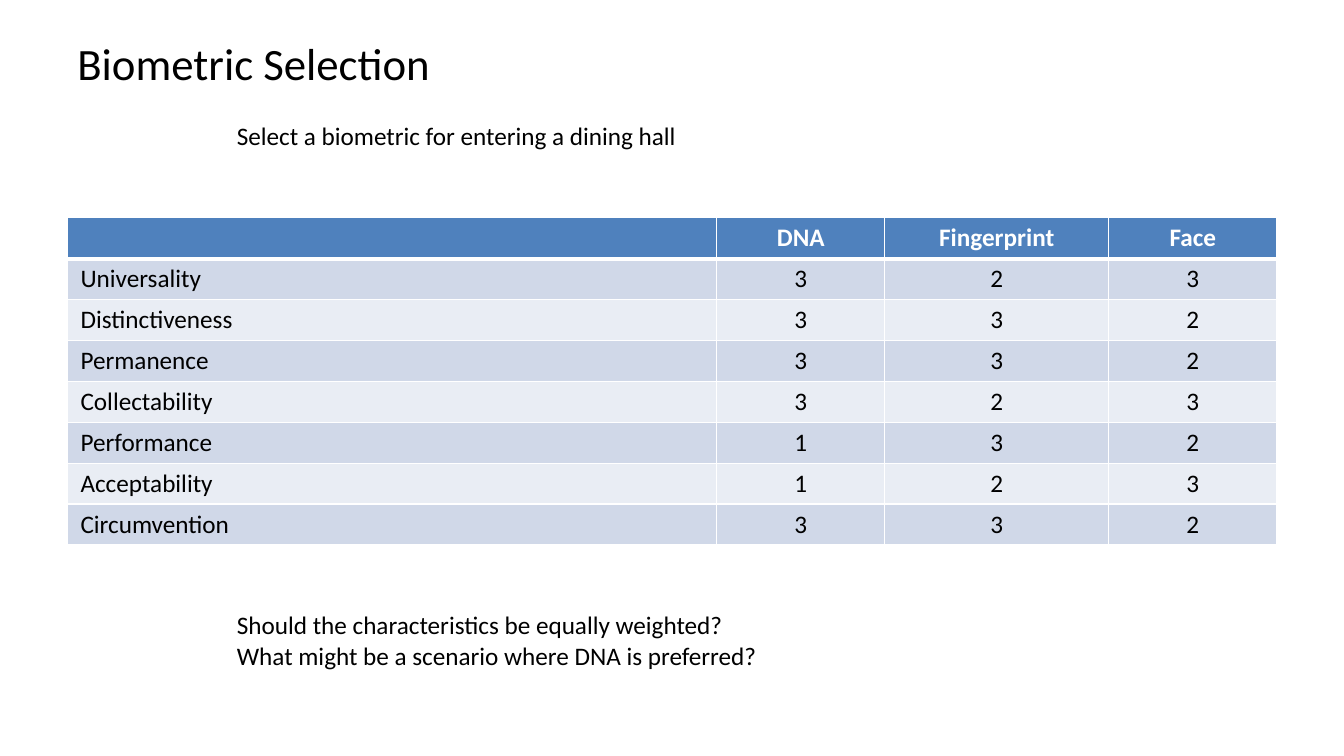
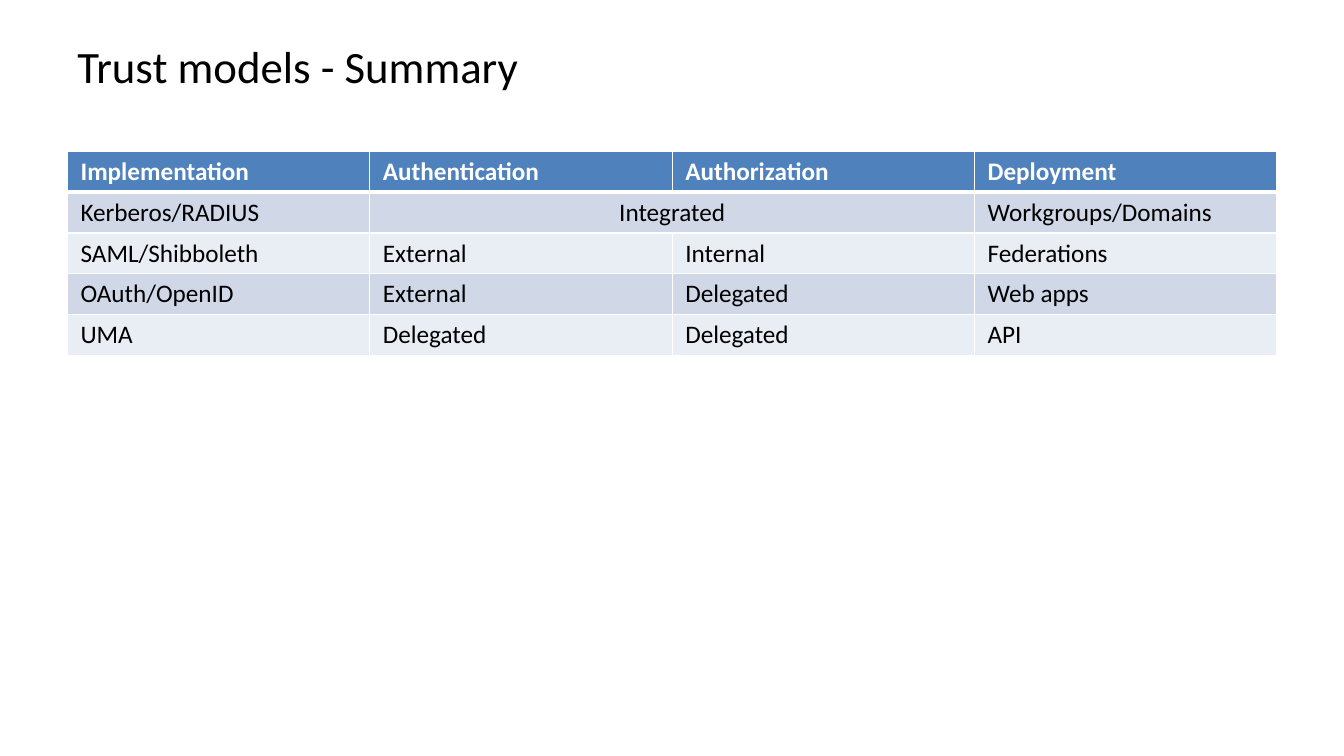
from lxml.etree import SubElement
from pptx import Presentation
from pptx.dml.color import RGBColor
from pptx.enum.text import MSO_ANCHOR, MSO_AUTO_SIZE, PP_ALIGN
from pptx.oxml.ns import qn
from pptx.util import Cm, Pt


def color(hex_text):
    return RGBColor.from_string(hex_text)


class SlideBuilder:
    FONT = "Calibri"
    TITLE_SIZE, BODY_SIZE = 32, 18
    BLACK, WHITE = "000000", "FFFFFF"
    HEADER_FILL = "4F81BD"
    ROW_FILLS = ("D0D8E8", "E9EDF4")
    LEFT, WIDTH = 1.7, 30.48
    TITLE_HEIGHT, ROW_HEIGHT = 1.78, 1.03
    TEXT_LEFT = 5.72
    CELL_INSET = 0.33

    def __init__(self):
        self.deck = Presentation()
        self.deck.slide_width = Cm(33.87)
        self.deck.slide_height = Cm(19.05)
        self.page = None

    def add_page(self, title, top):
        self.page = self.deck.slides.add_slide(self.deck.slide_layouts[6])
        frame = self.add_box(self.LEFT, top, self.WIDTH, self.TITLE_HEIGHT)
        frame.word_wrap = True
        frame.vertical_anchor = MSO_ANCHOR.MIDDLE
        frame.text = title
        self.style_text(frame, size=self.TITLE_SIZE)

    def add_box(self, left, top, width, height):
        box = self.page.shapes.add_textbox(Cm(left), Cm(top), Cm(width), Cm(height))
        return box.text_frame

    def add_text(self, lines, top, width, height):
        frame = self.add_box(self.TEXT_LEFT, top, width, height)
        frame.word_wrap = False
        frame.auto_size = MSO_AUTO_SIZE.SHAPE_TO_FIT_TEXT
        frame.text = "\n".join(lines)
        self.style_text(frame)

    def style_text(self, frame, size=BODY_SIZE, ink=BLACK, bold=False, align=PP_ALIGN.LEFT):
        for para in frame.paragraphs:
            para.alignment = align
            para.font.size = Pt(size)
            for span in para.runs:
                span.font.name = self.FONT
                span.font.size = Pt(size)
                span.font.bold = bold
                span.font.color.rgb = color(ink)

    def add_table(self, rows, top, widths, centered=()):
        """Draw a header and striped rows; a None cell joins the one to its left."""
        height = self.ROW_HEIGHT * len(rows)
        table = self.page.shapes.add_table(
            len(rows), len(widths), Cm(self.LEFT), Cm(top), Cm(self.WIDTH), Cm(height)
        ).table
        for column, width in zip(table.columns, widths):
            column.width = Cm(width)
        for row_index, values in enumerate(rows):
            table.rows[row_index].height = Cm(self.ROW_HEIGHT)
            for column_index, value in enumerate(values):
                cell = table.cell(row_index, column_index)
                self.style_cell(cell, row_index, value or "", column_index in centered)
                if value is None:
                    first = table.cell(row_index, column_index - 1)
                    first.merge(cell)
                    first.text_frame.paragraphs[0].alignment = PP_ALIGN.CENTER

    def style_cell(self, cell, row_index, value, centered):
        header = row_index == 0
        cell.margin_left = cell.margin_right = Cm(self.CELL_INSET)
        cell.text_frame.text = value
        self.style_text(
            cell.text_frame,
            ink=self.WHITE if header else self.BLACK,
            bold=header,
            align=PP_ALIGN.CENTER if centered else PP_ALIGN.LEFT,
        )
        # Borders come before the fill in the cell properties
        thick_side = {0: "lnB", 1: "lnT"}.get(row_index)
        properties = cell._tc.get_or_add_tcPr()
        for side in ("lnL", "lnR", "lnT", "lnB"):
            width = Pt(3 if side == thick_side else 1)
            line = SubElement(properties, qn(f"a:{side}"), w=str(width))
            fill = SubElement(line, qn("a:solidFill"))
            SubElement(fill, qn("a:srgbClr"), val=self.WHITE)
        cell.fill.solid()
        stripe = self.ROW_FILLS[(row_index - 1) % 2]
        cell.fill.fore_color.rgb = color(self.HEADER_FILL if header else stripe)


def main():
    builder = SlideBuilder()

    # Biometric scores
    builder.add_page("Biometric Selection", top=0.69)
    scores = [
        ("", "DNA", "Fingerprint", "Face"),
        ("Universality", "3", "2", "3"),
        ("Distinctiveness", "3", "3", "2"),
        ("Permanence", "3", "3", "2"),
        ("Collectability", "3", "2", "3"),
        ("Performance", "1", "3", "2"),
        ("Acceptability", "1", "2", "3"),
        ("Circumvention", "3", "3", "2"),
    ]
    builder.add_table(scores, 5.49, (16.36, 4.24, 5.64, 4.24), centered=(1, 2, 3))
    builder.add_text(["Select a biometric for entering a dining hall"], 2.9, 11.71, 1.02)
    questions = [
        "Should the characteristics be equally weighted?",
        "What might be a scenario where DNA is preferred?",
    ]
    builder.add_text(questions, 15.24, 13.77, 1.8)

    # Trust model comparison
    builder.add_page("Trust models - Summary", top=0.76)
    models = [
        ("Implementation", "Authentication", "Authorization", "Deployment"),
        ("Kerberos/RADIUS", "Integrated", None, "Workgroups/Domains"),
        ("SAML/Shibboleth", "External", "Internal", "Federations"),
        ("OAuth/OpenID", "External", "Delegated", "Web apps"),
        ("UMA", "Delegated", "Delegated", "API"),
    ]
    builder.add_table(models, 3.81, [builder.WIDTH / 4] * 4)

    builder.deck.save("out.pptx")


if __name__ == "__main__":
    main()
